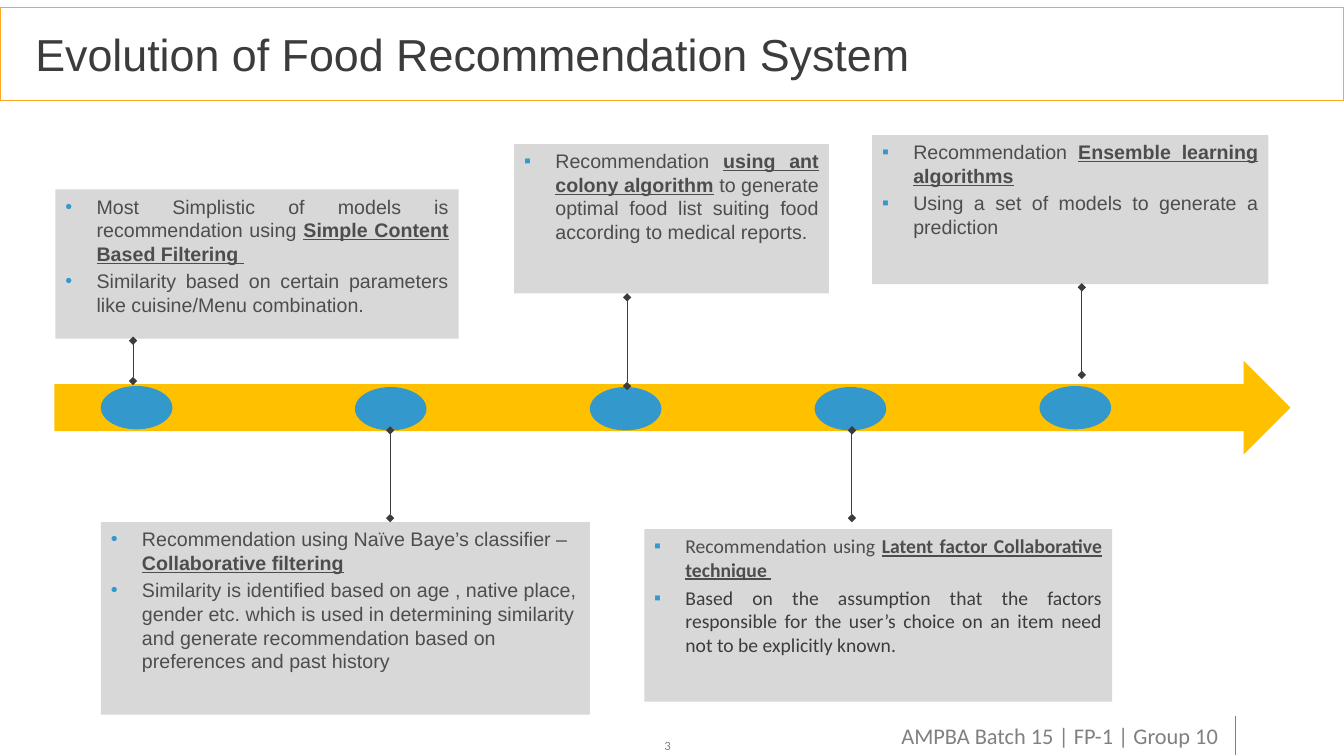
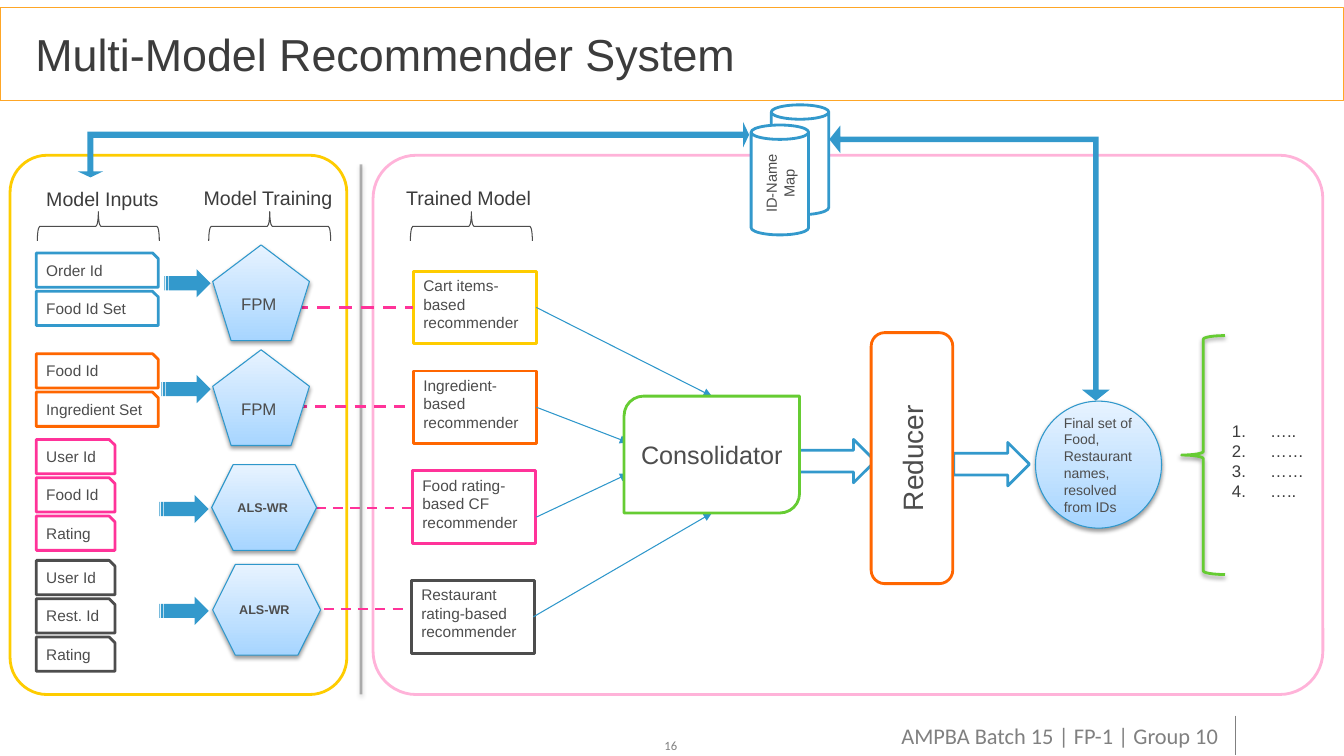
from dataclasses import dataclass
from typing import NamedTuple, Optional, Sequence

from lxml.etree import SubElement
from pptx import Presentation
from pptx.dml.color import RGBColor
from pptx.enum.dml import MSO_LINE
from pptx.enum.shapes import MSO_CONNECTOR, MSO_SHAPE
from pptx.enum.text import MSO_ANCHOR, PP_ALIGN
from pptx.oxml.ns import qn
from pptx.util import Pt

EMU_PER_PX = 9144  # 100 px to the inch


@dataclass(frozen=True)
class Theme:
    white: str = "FFFFFF"
    ink: str = "3C3C3C"
    text: str = "4D4D4D"
    muted: str = "808080"
    panel: str = "D8D8D8"
    title_border: str = "FEA626"
    timeline: str = "FFC000"
    blue: str = "3399CC"
    edge: str = "2E97CB"
    yellow: str = "FECC00"
    orange: str = "FF6600"
    pink: str = "FF3399"
    green: str = "66CC33"
    gradient: tuple = ("A7D5FF", "E7F3FF")
    font: str = "Arial"
    alternate_font: str = "Calibri"
    title_size: float = 32
    reducer_size: float = 20
    consolidator_size: float = 18
    footer_size: float = 16
    body_size: float = 14
    medium_size: float = 12
    label_size: float = 11
    map_size: float = 10.5
    result_size: float = 10
    small_size: float = 9


THEME = Theme()


class Box(NamedTuple):
    left: int
    top: int
    width: int
    height: int


class Run(NamedTuple):
    text: str
    strong: bool = False
    color: Optional[str] = None


class Segment(NamedTuple):
    x1: int
    y1: int
    x2: int
    y2: int


@dataclass(frozen=True)
class Milestone:
    dot: tuple
    stem: Segment
    callout: Box
    paragraphs: tuple
    bullet: str = "▪"
    align: PP_ALIGN = PP_ALIGN.JUSTIFY
    font: str = THEME.font


@dataclass(frozen=True)
class ModelTrack:
    """One row from input fields through training to a recommender card."""
    color: str
    fields: tuple
    fields_top: int
    field_width: int
    arrow: Box
    trainer: MSO_SHAPE
    trainer_box: Box
    algorithm: str
    dash: Segment
    dash_weight: float
    card: tuple
    card_text: str
    link: Segment


def px(value: int) -> int:
    return value * EMU_PER_PX


def rgb(value: str) -> RGBColor:
    return RGBColor.from_string(value)


def set_alpha(line, color_parent, percent: int) -> None:
    color = color_parent.find(qn("a:ln")).find(".//" + qn("a:srgbClr"))
    SubElement(color, qn("a:alpha"), val=str(percent * 1000))


def add_shadow(effects) -> None:
    shadow = SubElement(effects, qn("a:outerShdw"), blurRad="39370", dist="20320",
                        dir="5400000", rotWithShape="0")
    color = SubElement(shadow, qn("a:srgbClr"), val="000000")
    SubElement(color, qn("a:alpha"), val="38000")


def add_bullet(paragraph, bullet: str, indent: int) -> None:
    """Hang a bullet; "1." gives automatic numbers."""
    properties = paragraph._p.get_or_add_pPr()
    properties.set("marL", str(px(indent)))
    properties.set("indent", str(-px(indent)))
    if bullet == "1.":
        SubElement(properties, qn("a:buAutoNum"), type="arabicPeriod")
        return
    color = SubElement(properties, qn("a:buClr"))
    SubElement(color, qn("a:srgbClr"), val=THEME.blue)
    SubElement(properties, qn("a:buFont"), typeface=THEME.font)
    SubElement(properties, qn("a:buChar"), char=bullet)


def write(shape, *paragraphs, size: float, color: str = THEME.text, font: str = THEME.font,
          bold: bool = False, align: PP_ALIGN = PP_ALIGN.LEFT,
          anchor: MSO_ANCHOR = MSO_ANCHOR.TOP, bullet: str = "", indent: int = 31,
          spacing: float = 0, margins: Sequence[int] = (10, 5, 10, 5),
          vertical: bool = False) -> None:
    """Fill a shape with paragraphs, each a string or a sequence of runs."""
    frame = shape.text_frame
    frame.word_wrap = True
    frame.vertical_anchor = anchor
    (frame.margin_left, frame.margin_top,
     frame.margin_right, frame.margin_bottom) = map(px, margins)
    if vertical:
        shape.element.find(".//" + qn("a:bodyPr")).set("vert", "vert270")
    for index, content in enumerate(paragraphs):
        paragraph = frame.add_paragraph() if index else frame.paragraphs[0]
        paragraph.alignment = align
        if bullet:
            add_bullet(paragraph, bullet, indent)
        if index and spacing:
            paragraph.space_before = Pt(spacing)
        for part in [Run(content)] if isinstance(content, str) else content:
            run = paragraph.add_run()
            run.text = part.text
            run.font.name = font
            run.font.size = Pt(size)
            run.font.bold = bold or part.strong
            run.font.underline = part.strong
            run.font.color.rgb = rgb(part.color or color)


def draw_shape(slide, kind: MSO_SHAPE, box: Box, fill: Optional[str] = None,
               outline: Optional[str] = None, weight: float = 2, alpha: int = 100,
               rotation: int = 0, adjustments: Sequence[float] = (),
               gradient: bool = False, shadow: bool = False):
    shape = slide.shapes.add_shape(kind, *map(px, box))
    shape.rotation = rotation
    for index, value in enumerate(adjustments):
        shape.adjustments[index] = value
    if gradient:
        shape.fill.gradient()
        shape.fill.gradient_angle = 90
        for stop, color in zip(shape.fill.gradient_stops, THEME.gradient):
            stop.color.rgb = rgb(color)
    elif fill:
        shape.fill.solid()
        shape.fill.fore_color.rgb = rgb(fill)
    else:
        shape.fill.background()
    if outline:
        shape.line.color.rgb = rgb(outline)
        shape.line.width = Pt(weight)
        if alpha < 100:
            set_alpha(shape.line, shape.element.spPr, alpha)
    else:
        shape.line.fill.background()
    shape.shadow.inherit = False
    if shadow:
        add_shadow(shape.element.spPr.find(qn("a:effectLst")))
    return shape


def draw_glossy(slide, kind: MSO_SHAPE, box: Box):
    return draw_shape(slide, kind, box, outline=THEME.edge, weight=0.75,
                      gradient=True, shadow=True)


def draw_line(slide, segment: Segment, color: str, weight: float = 0.75, head: str = "",
              tail: str = "", dashed: bool = False, alpha: int = 100,
              shadow: bool = False) -> None:
    connector = slide.shapes.add_connector(MSO_CONNECTOR.STRAIGHT, *map(px, segment))
    connector.line.color.rgb = rgb(color)
    connector.line.width = Pt(weight)
    if dashed:
        connector.line.dash_style = MSO_LINE.DASH
    properties = connector.element.spPr
    if alpha < 100:
        set_alpha(connector.line, properties, alpha)
    for tag, end in (("a:headEnd", head), ("a:tailEnd", tail)):
        if end:
            SubElement(properties.find(qn("a:ln")), qn(tag), type=end)
    effects = SubElement(properties, qn("a:effectLst"))
    if shadow:
        add_shadow(effects)


def add_text(slide, box: Box, *paragraphs, **text_format) -> None:
    write(slide.shapes.add_textbox(*map(px, box)), *paragraphs, **text_format)


def add_titled_slide(presentation, title: str, number: int):
    """Add a slide with the shared title band and footer."""
    slide = presentation.slides.add_slide(presentation.slide_layouts[5])
    band = slide.shapes.title
    band.left, band.top, band.width, band.height = map(px, Box(0, 7, 1333, 93))
    band.fill.solid()
    band.fill.fore_color.rgb = rgb(THEME.white)
    band.line.color.rgb = rgb(THEME.title_border)
    band.line.width = Pt(0.75)
    write(band, title, size=THEME.title_size, color=THEME.ink,
          anchor=MSO_ANCHOR.MIDDLE, margins=(35, 5, 10, 5))
    footer = dict(color=THEME.muted, font=THEME.alternate_font, margins=(0, 0, 0, 0))
    add_text(slide, Box(659, 732, 38, 15), str(number), size=THEME.small_size,
             anchor=MSO_ANCHOR.MIDDLE, **footer)
    add_text(slide, Box(894, 716, 320, 27), "AMPBA Batch 15 | FP-1 | Group 10",
             size=THEME.footer_size, **footer)
    draw_line(slide, Segment(1225, 710, 1225, 749), THEME.muted, 0.25)
    return slide


MILESTONES = (
    Milestone((100, 383), Segment(132, 338, 132, 378), Box(55, 188, 400, 148), (
        (Run("Most Simplistic of models is recommendation using "),
         Run("Simple Content Based Filtering ", True)),
        "Similarity based on certain parameters like cuisine/Menu combination."), "•"),
    Milestone((352, 384), Segment(387, 427, 387, 514), Box(100, 518, 485, 191), (
        (Run("Recommendation using Naïve Baye’s classifier – "),
         Run("Collaborative filtering", True)),
        "Similarity is identified based on age , native place, gender etc. which is used in "
        "determining similarity and generate recommendation based on preferences and past "
        "history"), "•", PP_ALIGN.LEFT),
    Milestone((585, 384), Segment(622, 295, 622, 383), Box(510, 143, 312, 148), (
        (Run("Recommendation "), Run("using ant colony algorithm", True),
         Run(" to generate optimal food list suiting food according to medical reports.")),)),
    Milestone((808, 384), Segment(845, 427, 845, 514), Box(639, 525, 464, 171), (
        (Run("Recommendation using "), Run("Latent factor Collaborative technique ", True)),
        (Run("Based on the assumption that the factors responsible for the user’s choice on "
             "an item need not to be explicitly known.", color=THEME.ink),)),
        font=THEME.alternate_font),
    Milestone((1031, 383), Segment(1073, 285, 1073, 372), Box(865, 134, 393, 148), (
        (Run("Recommendation "), Run("Ensemble learning algorithms", True)),
        "Using a set of models to generate a prediction")),
)

TRACKS = (
    ModelTrack(THEME.blue, ("Order Id", "Food Id Set"), 251, 121, Box(163, 267, 46, 28),
               MSO_SHAPE.REGULAR_PENTAGON, Box(211, 243, 96, 95), "FPM",
               Segment(293, 305, 410, 305), 2.25, (410, 269, THEME.yellow),
               "Cart items-based recommender", Segment(532, 305, 706, 393)),
    ModelTrack(THEME.orange, ("Food Id", "Ingredient Set"), 351, 121, Box(160, 372, 49, 28),
               MSO_SHAPE.REGULAR_PENTAGON, Box(211, 347, 96, 95), "FPM",
               Segment(293, 403, 410, 403), 2, (410, 368, THEME.orange),
               "Ingredient-based recommender", Segment(532, 404, 623, 439)),
    ModelTrack(THEME.pink, ("User Id", "Food Id", "Rating"), 436, 78, Box(158, 491, 49, 28),
               MSO_SHAPE.HEXAGON, Box(210, 461, 104, 85), "ALS-WR",
               Segment(296, 504, 413, 504), 1.75, (409, 467, THEME.pink),
               "Food rating-based CF recommender", Segment(532, 513, 623, 470)),
    ModelTrack(THEME.text, ("User Id", "Rest. Id", "Rating"), 556, 78, Box(158, 592, 49, 28),
               MSO_SHAPE.HEXAGON, Box(211, 560, 107, 90), "ALS-WR",
               Segment(287, 604, 405, 604), 1.75, (408, 576, THEME.text),
               "Restaurant rating-based recommender", Segment(529, 612, 706, 509)),
)


def build_evolution(presentation) -> None:
    slide = add_titled_slide(presentation, "Evolution of Food Recommendation System", 3)
    draw_shape(slide, MSO_SHAPE.RIGHT_ARROW, Box(54, 358, 1226, 93), THEME.timeline)
    for milestone in MILESTONES:
        draw_shape(slide, MSO_SHAPE.OVAL, Box(*milestone.dot, 71, 43), THEME.blue)
        callout = draw_shape(slide, MSO_SHAPE.RECTANGLE, milestone.callout, THEME.panel)
        write(callout, *milestone.paragraphs, size=THEME.body_size, font=milestone.font,
              align=milestone.align, bullet=milestone.bullet, spacing=3)
        draw_line(slide, milestone.stem, THEME.ink, head="diamond", tail="diamond")


def draw_track(slide, track: ModelTrack) -> None:
    for index, field in enumerate(track.fields):
        box = Box(36, track.fields_top + 38 * index, track.field_width, 34)
        shape = draw_shape(slide, MSO_SHAPE.SNIP_1_RECTANGLE, box, THEME.white, track.color)
        write(shape, field, size=THEME.label_size)
    draw_shape(slide, MSO_SHAPE.STRIPED_RIGHT_ARROW, track.arrow, THEME.blue)
    left, top, color = track.card
    card = draw_shape(slide, MSO_SHAPE.RECTANGLE, Box(left, top, 122, 72), THEME.white, color)
    write(card, track.card_text, size=THEME.label_size)
    draw_line(slide, track.dash, THEME.pink, track.dash_weight, dashed=True)
    trainer = draw_glossy(slide, track.trainer, track.trainer_box)
    hexagon = track.trainer == MSO_SHAPE.HEXAGON
    write(trainer, track.algorithm, size=THEME.small_size if hexagon else THEME.medium_size,
          bold=hexagon, anchor=MSO_ANCHOR.MIDDLE)
    draw_line(slide, track.link, THEME.edge, tail="triangle")


def build_recommender(presentation) -> None:
    slide = add_titled_slide(presentation, "Multi-Model Recommender System", 16)
    centered = dict(align=PP_ALIGN.CENTER, anchor=MSO_ANCHOR.MIDDLE)
    draw_shape(slide, MSO_SHAPE.ROUNDED_RECTANGLE, Box(10, 154, 334, 535),
               outline=THEME.yellow, adjustments=(0.11,))
    draw_shape(slide, MSO_SHAPE.ROUNDED_RECTANGLE, Box(370, 154, 942, 535),
               outline=THEME.pink, alpha=37, adjustments=(0.08,))
    draw_line(slide, Segment(358, 163, 358, 689), THEME.ink, 2, alpha=36, shadow=True)
    for heading, box, brace_left in (("Model Inputs", Box(36, 180, 134, 19), 83),
                                     ("Model Training", Box(192, 179, 201, 19), 253),
                                     ("Trained Model", Box(393, 179, 201, 19), 453)):
        add_text(slide, box, heading, size=THEME.body_size, color=THEME.ink)
        draw_shape(slide, MSO_SHAPE.LEFT_BRACE, Box(brace_left, 164, 29, 121),
                   outline=THEME.text, weight=0.75, rotation=90)
    for track in TRACKS:
        draw_track(slide, track)

    for box in (Box(765, 104, 57, 109), Box(745, 124, 57, 109)):
        cylinder = draw_shape(slide, MSO_SHAPE.CAN, box, THEME.white, THEME.blue)
    write(cylinder, "ID-Name Map", size=THEME.map_size, vertical=True, **centered)
    for box in (Box(787, 436, 81, 43), Box(946, 439, 75, 43)):
        draw_shape(slide, MSO_SHAPE.RIGHT_ARROW, box, THEME.white, THEME.blue)
    consolidator = draw_shape(slide, MSO_SHAPE.ROUND_2_DIAG_RECTANGLE,
                              Box(619, 393, 174, 116), THEME.white, THEME.green)
    write(consolidator, "Consolidator", size=THEME.consolidator_size, **centered)
    reducer = draw_shape(slide, MSO_SHAPE.ROUNDED_RECTANGLE, Box(864, 330, 81, 249),
                         THEME.white, THEME.orange)
    write(reducer, "Reducer", size=THEME.reducer_size, vertical=True, **centered)
    result = draw_glossy(slide, MSO_SHAPE.OVAL, Box(1027, 398, 125, 126))
    write(result, "Final set of Food, Restaurant names, resolved from IDs",
          size=THEME.result_size, anchor=MSO_ANCHOR.MIDDLE)
    for box, rotation, adjustments in ((Box(825, 122, 273, 278), 270, (0.02, 0.05, 0.04)),
                                       (Box(77, 121, 666, 55), 180, (0.11, 0.23, 0.11))):
        draw_shape(slide, MSO_SHAPE.LEFT_UP_ARROW, box, THEME.blue,
                   rotation=rotation, adjustments=adjustments)
    draw_shape(slide, MSO_SHAPE.LEFT_BRACE, Box(1172, 333, 43, 237),
               outline=THEME.green, shadow=True)
    add_text(slide, Box(1212, 412, 115, 110), "…..", "……", "……", "…..",
             size=THEME.medium_size, color=THEME.ink, bullet="1.", indent=38)


def main() -> None:
    presentation = Presentation()
    presentation.slide_width, presentation.slide_height = px(1333), px(750)
    build_evolution(presentation)
    build_recommender(presentation)
    presentation.save("out.pptx")


if __name__ == "__main__":
    main()
